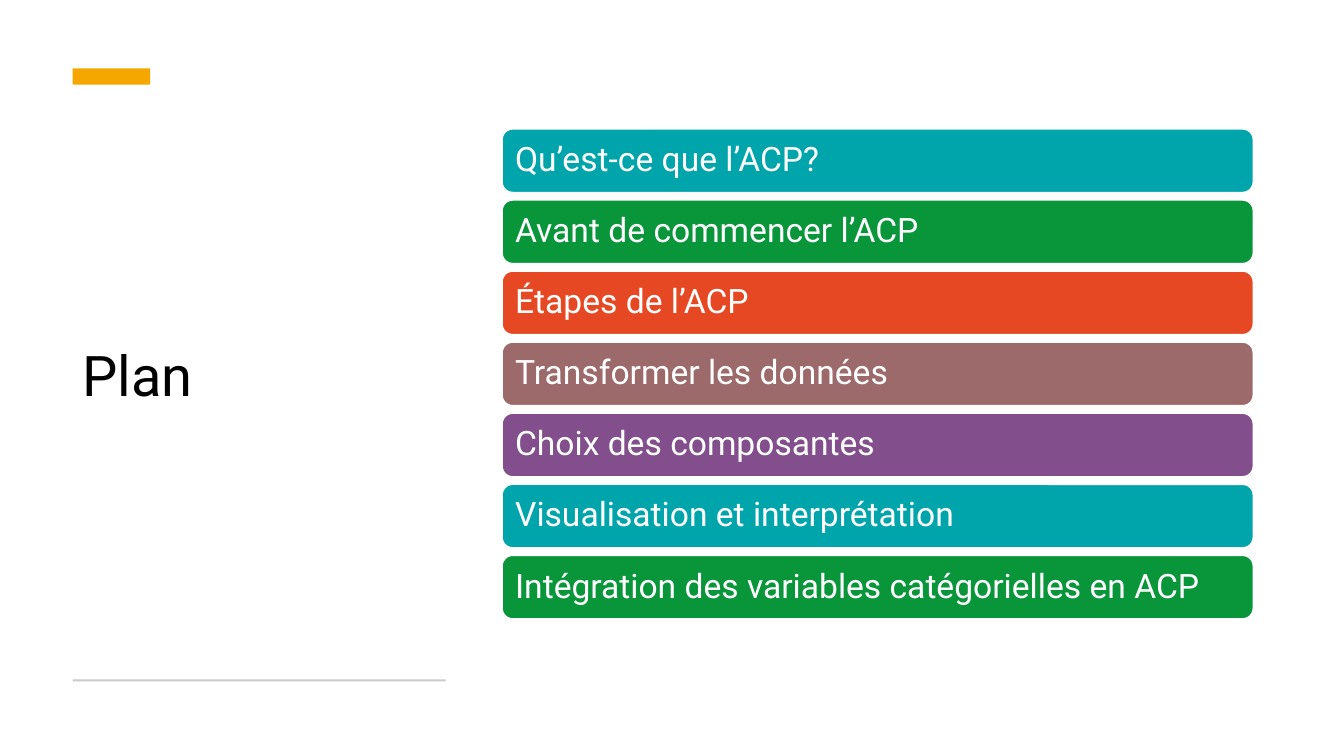
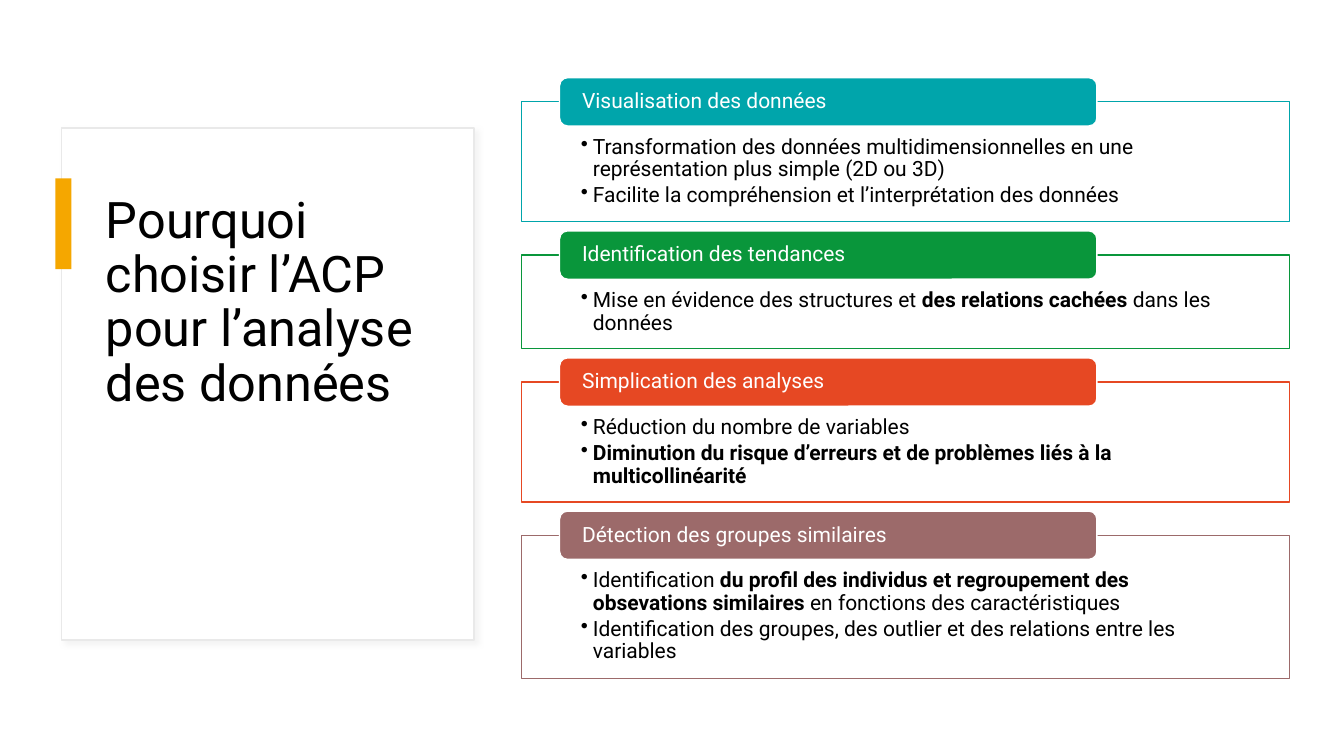
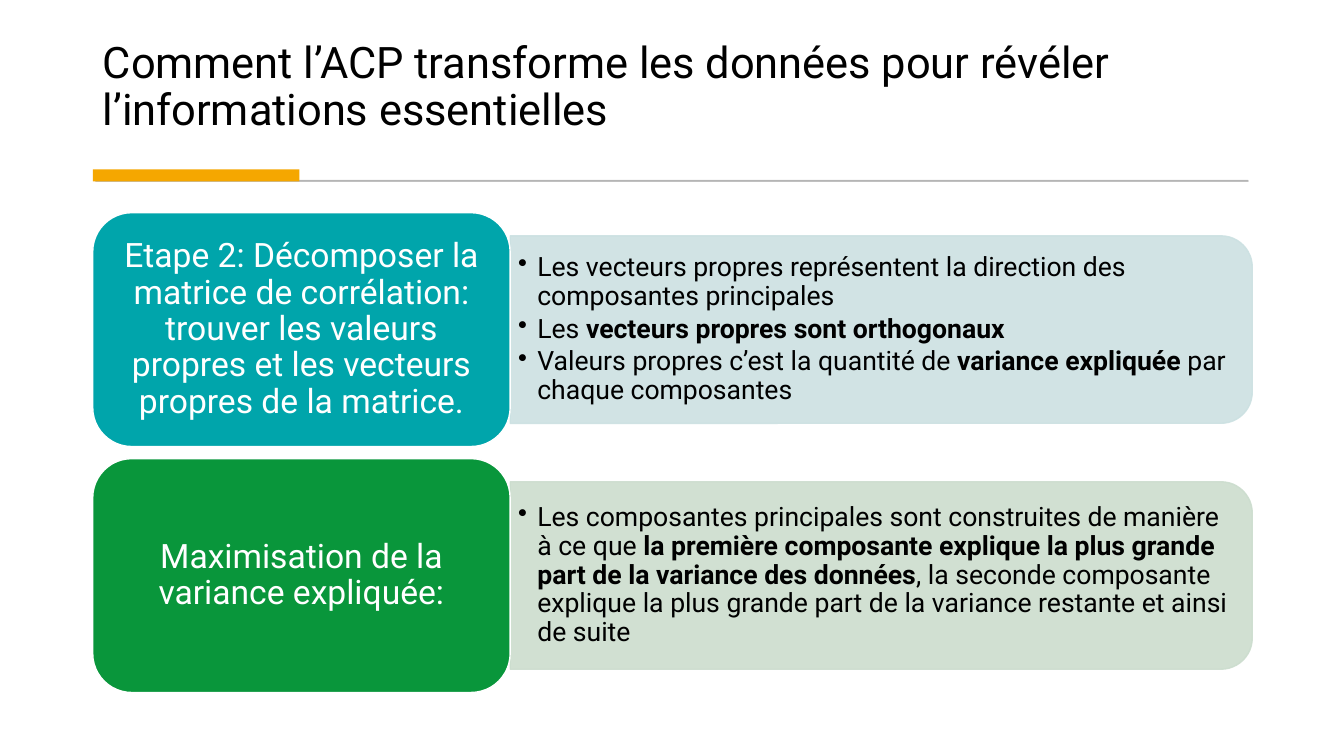
from lxml.etree import SubElement
from pptx import Presentation
from pptx.dml.color import RGBColor
from pptx.enum.shapes import MSO_SHAPE
from pptx.enum.text import MSO_ANCHOR, MSO_AUTO_SIZE, PP_ALIGN
from pptx.oxml.ns import qn
from pptx.util import Inches, Pt

WHITE = RGBColor(0xFF, 0xFF, 0xFF)
BLACK = RGBColor(0x00, 0x00, 0x00)
AMBER = RGBColor(0xF5, 0xA7, 0x00)
TEAL = RGBColor(0x00, 0xA5, 0xAB)
GREEN = RGBColor(0x09, 0x96, 0x3B)
ORANGE = RGBColor(0xE6, 0x48, 0x23)
ROSE = RGBColor(0x9C, 0x6A, 0x6A)
PURPLE = RGBColor(0x82, 0x4F, 0x8C)
PALE_TEAL = RGBColor(0xCC, 0xE1, 0xE2)
PALE_GREEN = RGBColor(0xCC, 0xDD, 0xCE)
RULE_GREY = RGBColor(0xC9, 0xC9, 0xC9)
CARD_GREY = RGBColor(0xE9, 0xE9, 0xE9)
SHADOW_GREY = RGBColor(0xD9, 0xD9, 0xD9)
DARK_GREY = RGBColor(0x59, 0x59, 0x59)

INSETS = (0.1, 0.05, 0.1, 0.05)


class Deck:
    """Shared style, the current slide and one method per kind of element."""

    font = "Roboto"

    def __init__(self):
        self.prs = Presentation()
        self.prs.slide_width = Inches(13.33)
        self.prs.slide_height = Inches(7.5)

    def new_slide(self):
        self.s = self.prs.slides.add_slide(self.prs.slide_layouts[5])

    def title(self, text, box, size, anchor):
        sp = self.s.shapes.title
        for name, value in zip(("left", "top", "width", "height"), box):
            setattr(sp, name, Inches(value))
        self.s.shapes.element.append(sp.element)  # in front of earlier shapes
        self.put_text(sp, [text], size, BLACK, anchor=anchor)

    def shape(self, kind, box, fill, line=None, width=1, alpha=None):
        """Add a preset shape; alpha also reaches a line of the fill's colour."""
        sp = self.s.shapes.add_shape(kind, *map(Inches, box))
        sp.shadow.inherit = False
        sp.fill.solid()
        sp.fill.fore_color.rgb = fill
        if line is None:
            sp.line.fill.background()
        else:
            sp.line.color.rgb = line
            sp.line.width = Pt(width)
        if alpha:
            for clr in sp.element.spPr.iter(qn("a:srgbClr")):
                if clr.get("val") == str(fill):
                    SubElement(clr, qn("a:alpha"), val=str(alpha * 1000))
        return sp

    def bar(self, box, fill, **style):
        return self.shape(MSO_SHAPE.RECTANGLE, box, fill, **style)

    def label(self, text, box, fill, size, insets=INSETS, align=PP_ALIGN.LEFT):
        sp = self.shape(MSO_SHAPE.ROUNDED_RECTANGLE, box, fill, line=WHITE)
        self.put_text(sp, [text], size, WHITE, insets, align=align)

    def card(self, box):
        sp = self.bar(box, WHITE, line=CARD_GREY)
        effects = sp.element.spPr.find(qn("a:effectLst"))
        shadow = SubElement(effects, qn("a:outerShdw"), blurRad=str(Pt(4)), dist=str(Pt(3)),
                            dir=str(45 * 60000), algn="tl", rotWithShape="0")
        clr = SubElement(shadow, qn("a:srgbClr"), val=str(SHADOW_GREY))
        SubElement(clr, qn("a:alpha"), val="30000")

    def side_panel(self, left, top, width, height, fill):
        """Panel whose two right corners are round: a turned top-rounded shape."""
        box = (left + (width - height) / 2, top + (height - width) / 2, height, width)
        sp = self.shape(MSO_SHAPE.ROUND_2_SAME_RECTANGLE, box, fill, line=fill, alpha=90)
        sp.rotation = 90

    def text(self, box, paragraphs, size, **style):
        sp = self.s.shapes.add_textbox(*map(Inches, box))
        self.put_text(sp, paragraphs, size, BLACK, **style)

    def put_text(self, sp, paragraphs, size, color, insets=INSETS,
                 anchor=MSO_ANCHOR.MIDDLE, align=PP_ALIGN.LEFT, bullet=None):
        """Fill a shape with text; ** switches bold on and off."""
        tf = sp.text_frame
        left, top, right, bottom = map(Inches, insets)
        frame = {"word_wrap": True, "auto_size": MSO_AUTO_SIZE.NONE,
                 "vertical_anchor": anchor, "margin_left": left, "margin_top": top,
                 "margin_right": right, "margin_bottom": bottom}
        for name, value in frame.items():
            setattr(tf, name, value)
        for i, text in enumerate(paragraphs):
            p = tf.add_paragraph() if i else tf.paragraphs[0]
            spacing = {"alignment": align, "line_spacing": 0.9,
                       "space_before": Pt(0), "space_after": Pt(size * 0.15)}
            for name, value in spacing.items():
                setattr(p, name, value)
            if bullet:
                pPr = p._p.get_or_add_pPr()
                pPr.set("marL", str(Inches(bullet)))
                pPr.set("indent", str(-Inches(bullet)))
                SubElement(pPr, qn("a:buChar"), char="•")
            for j, part in enumerate(text.split("**")):
                if not part:
                    continue
                r = p.add_run()
                r.text = part
                style = {"name": self.font, "size": Pt(size), "bold": j % 2 == 1}
                for name, value in style.items():
                    setattr(r.font, name, value)
                r.font.color.rgb = color


def plan_slide(deck):
    deck.new_slide()
    deck.title("Plan", (0.72, 1.05, 3.7, 5.41), 40, MSO_ANCHOR.MIDDLE)
    deck.bar((0.72, 0.68, 0.77, 0.16), AMBER)
    deck.bar((0.72, 6.74, 3.7, 0.02), RULE_GREY)

    # Agenda
    topics = ["Qu’est-ce que l’ACP?", "Avant de commencer l’ACP", "Étapes de l’ACP",
              "Transformer les données", "Choix des composantes",
              "Visualisation et interprétation",
              "Intégration des variables catégorielles en ACP"]
    colors = [TEAL, GREEN, ORANGE, ROSE, PURPLE]
    height, gap = 0.63, 0.075
    for i, topic in enumerate(topics):
        deck.label(topic, (4.98, 1.28 + i * (height + gap), 7.45, height),
                   colors[i % len(colors)], 24, insets=(0.1,) * 4)


def reasons_slide(deck):
    deck.new_slide()
    deck.card((0.61, 1.27, 4.09, 5.08))
    deck.title("Pourquoi choisir l’ACP pour l’analyse des données",
               (0.95, 1.88, 3.39, 3.85), 36, MSO_ANCHOR.TOP)
    deck.bar((0.55, 1.77, 0.16, 0.9), AMBER)

    # Framed reasons, stacked with an equal gap
    reasons = [
        ("Visualisation des données", TEAL, 1.19,
         ["Transformation des données multidimensionnelles en une représentation "
          "plus simple (2D ou 3D)",
          "Facilite la compréhension et l’interprétation des données"]),
        ("Identification des tendances", GREEN, 0.93,
         ["Mise en évidence des structures et **des relations cachées **dans les données"]),
        ("Simplication des analyses", ORANGE, 1.19,
         ["Réduction du nombre de variables",
          "**Diminution du risque d’erreurs et de problèmes liés à la multicollinéarité**"]),
        ("Détection des groupes similaires", ROSE, 1.42,
         ["Identification **du profil des individus et regroupement des obsevations "
          "similaires **en fonctions des caractéristiques",
          "Identification des groupes, des outlier et des relations entre les variables"]),
    ]
    top, gap = 1.01, 0.33
    for heading, color, height, points in reasons:
        sp = deck.bar((5.17, top, 7.62, height), WHITE, line=color, alpha=90)
        deck.put_text(sp, points, 15, BLACK, insets=(0.59, 0.34, 0.59, 0.12),
                      anchor=MSO_ANCHOR.TOP, bullet=0.12)
        deck.label(heading, (5.55, top - 0.24, 5.33, 0.48), color, 15,
                   insets=(0.2, 0, 0.2, 0))
        top += height + gap


def steps_slide(deck):
    deck.new_slide()
    deck.title("Comment l’ACP transforme les données pour révéler l’informations essentielles",
               (0.92, 0.28, 11.49, 1.11), 31, MSO_ANCHOR.BOTTOM)
    deck.bar((0.95, 1.79, 11.43, 0.01), DARK_GREY, line=DARK_GREY, width=0.75, alpha=30)
    deck.bar((0.92, 1.68, 2.05, 0.12), AMBER)

    # Steps with their explanation
    steps = [
        ("Etape 2: Décomposer la matrice de corrélation: trouver les valeurs propres "
         "et les vecteurs propres de la matrice.", TEAL, PALE_TEAL,
         ["Les vecteurs propres représentent la direction des composantes principales",
          "Les **vecteurs propres sont orthogonaux**",
          "Valeurs propres c’est la quantité de **variance expliquée **par chaque composantes"]),
        ("Maximisation de la variance expliquée:", GREEN, PALE_GREEN,
         ["Les composantes principales sont construites de manière à ce que **la première "
          "composante explique la plus grande part de la variance des données**, la seconde "
          "composante explique la plus grande part de la variance restante et ainsi de suite"]),
    ]
    for i, (heading, color, pale, points) in enumerate(steps):
        top = 2.11 + i * 2.44
        deck.side_panel(5.06, top + 0.23, 7.36, 1.86, pale)
        deck.text((5.06, top + 0.32, 7.27, 1.68), points, 19,
                  insets=(0.08, 0.04, 0.08, 0.04), bullet=0.19)
        deck.label(heading, (0.92, top, 4.14, 2.32), color, 24, align=PP_ALIGN.CENTER)


def main():
    deck = Deck()
    plan_slide(deck)
    reasons_slide(deck)
    steps_slide(deck)
    deck.prs.save("out.pptx")


if __name__ == "__main__":
    main()
